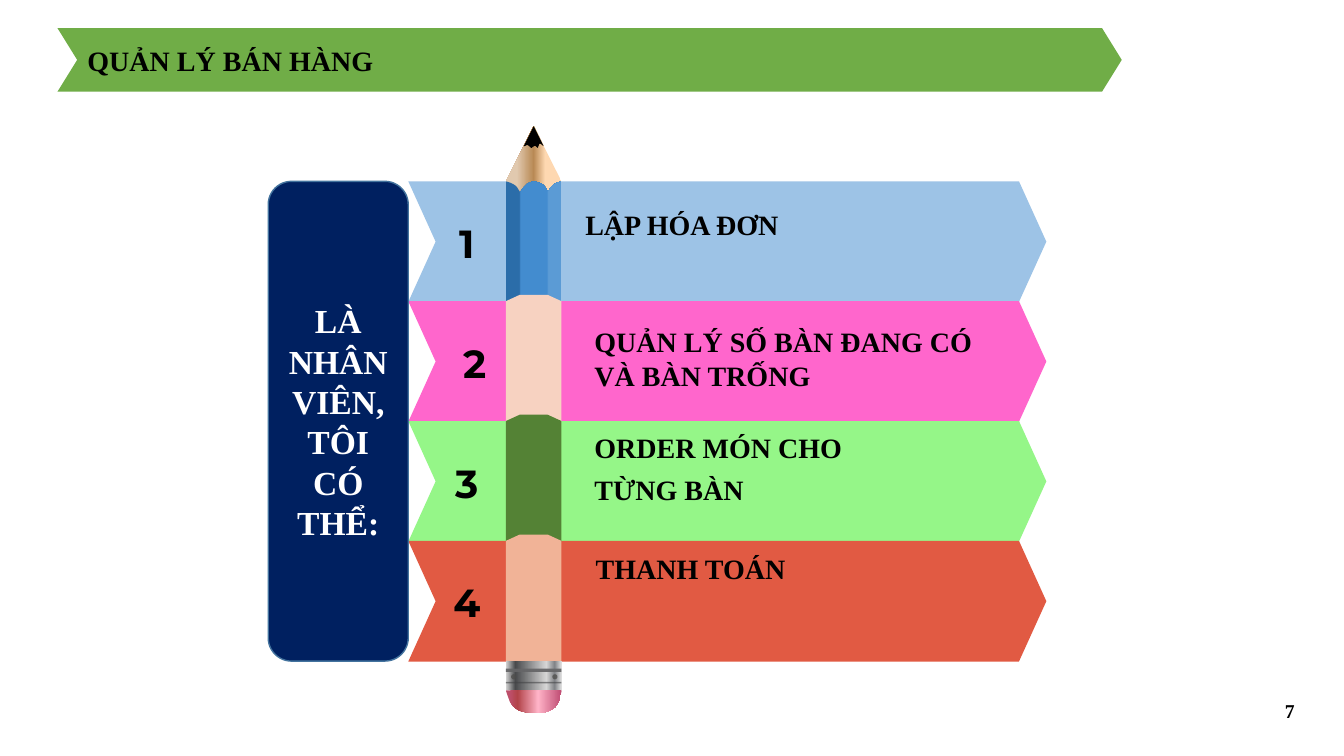
import pptx
import pptx.util
import pptx.dml.color
import pptx.enum.shapes
import pptx.enum.text
import pptx.oxml.ns
import lxml.etree

Cm = pptx.util.Cm
Pt = pptx.util.Pt
qn = pptx.oxml.ns.qn
KIND = pptx.enum.shapes.MSO_SHAPE
ALIGN = pptx.enum.text.PP_ALIGN
ANCHOR = pptx.enum.text.MSO_ANCHOR
SERIF = "Times New Roman"

BAND_X, BAND_TOP, PITCH, BAND_H = 10.29, 4.57, 3.02, 3.04
BAND_END, POINT = 26.37, 0.69
LEFT, RIGHT, BEVEL = 12.75, 14.15, 0.35
MID = (LEFT + RIGHT) / 2
BOTTOM = 16.66

# band colour, pencil colour, number left, label, label box
STEPS = [
    ("9DC3E6", None, 11.18, "LẬP HÓA ĐƠN", (14.5, 5.11, 11.02, 1.11)),
    ("FF66CC", "F7D2C1", 11.38, "QUẢN LÝ SỐ BÀN ĐANG CÓ VÀ BÀN TRỐNG",
     (14.73, 8.05, 10.26, 1.96)),
    ("95F688", "548235", 11.18, "ORDER MÓN CHO\nTỪNG BÀN",
     (14.73, 10.72, 10.64, 2.18)),
    ("E15A43", "F1B397", 11.18, "THANH TOÁN", (14.76, 13.77, 10.77, 1.11)),
]
WOOD = [(29, "FED8B1"), (50, "B88954"), (80, "E1C9AF")]
BLUE = [(0, "2B6DA9"), (24, "2B6DA9"), (27, "438CCF"), (74, "438CCF"),
        (77, "5B9BD5"), (100, "5B9BD5")]
METAL = [(0, "D6D6D6"), (17, "494A4C"), (73, "D6D6D6"), (88, "808286"),
         (100, "DEDEDE")]
RUBBER = [(7, "BD4F6A"), (21, "B24349"), (58, "FFB3C7"), (100, "BF4C73")]


def color(code):
    """Turn a hex string into a colour."""
    return pptx.dml.color.RGBColor.from_string(code)


def fade(shape, alpha):
    """Set the opacity, in percent, of the colours of a shape."""
    for tag in shape._element.spPr.iter(qn("a:srgbClr")):
        lxml.etree.SubElement(tag, qn("a:alpha"), val=str(alpha * 1000))


def paint(shape, fill, angle=0):
    """Fill a shape with one colour or a list of gradient stops."""
    shape.shadow.inherit = False
    shape.line.fill.background()
    if isinstance(fill, str):
        shape.fill.solid()
        shape.fill.fore_color.rgb = color(fill)
        return
    shape.fill.gradient()
    shape.fill.gradient_angle = angle
    stops = next(shape._element.spPr.iter(qn("a:gsLst")))
    for old in list(stops):
        stops.remove(old)
    for place, code in fill:
        stop = lxml.etree.SubElement(stops, qn("a:gs"), pos=str(place * 1000))
        lxml.etree.SubElement(stop, qn("a:srgbClr"), val=code)


def block(slide, kind, box, fill):
    """Add a filled preset shape."""
    shape = slide.shapes.add_shape(kind, *map(Cm, box))
    paint(shape, fill)
    return shape


def trace(steps):
    """Flatten points and cubic curves (six numbers) into points."""
    points = []
    for step in steps:
        if len(step) == 2:
            points.append(step)
            continue
        curve = [points[-1], step[:2], step[2:4], step[4:]]
        for part in range(1, 9):
            t = part / 8
            mix = [(1 - t) ** 3, 3 * t * (1 - t) ** 2, 3 * t * t * (1 - t), t ** 3]
            points.append(tuple(sum(m * p[axis] for m, p in zip(mix, curve))
                                for axis in (0, 1)))
    return points


def outline(slide, steps, fill, angle=0):
    """Add a filled closed outline."""
    points = [(Cm(x), Cm(y)) for x, y in trace(steps)]
    form = slide.shapes.build_freeform(*points[0])
    form.add_line_segments(points[1:], close=True)
    paint(form.convert_to_shape(), fill, angle)


def stripe(slide, y, code, width, alpha):
    """Add a line across the metal ring."""
    line = slide.shapes.add_connector(
        pptx.enum.shapes.MSO_CONNECTOR.STRAIGHT, Cm(LEFT), Cm(y), Cm(RIGHT), Cm(y))
    line.line.color.rgb = color(code)
    line.line.width = Pt(width)
    fade(line, alpha)
    lxml.etree.SubElement(line._element.spPr, qn("a:effectLst"))


def write(shape, text, size, font=SERIF, code="000000", align=ALIGN.LEFT,
          anchor=ANCHOR.TOP, after=0, wrap=True):
    """Put bold text in a shape."""
    frame = shape.text_frame
    frame.auto_size = pptx.enum.text.MSO_AUTO_SIZE.NONE
    frame.word_wrap = wrap
    frame.vertical_anchor = anchor
    frame.text = text
    for para in frame.paragraphs:
        para.alignment = align
        para.space_after = Pt(after)
        para.font.name = font
        para.font.size = Pt(size)
        para.font.bold = True
        para.font.color.rgb = color(code)


def label(slide, box, text, size, **style):
    """Add a text box."""
    write(slide.shapes.add_textbox(*map(Cm, box)), text, size, **style)


def header(slide):
    """Add the green banner and the title on it."""
    banner = block(slide, KIND.CHEVRON, (1.45, 0.71, 26.82, 1.6), "70AD47")
    banner.adjustments[0] = 0.31
    title = slide.shapes.title
    title.left, title.top, title.width, title.height = map(
        Cm, (1.95, 0.71, 25.5, 1.6))
    # The title lies above the banner
    slide.shapes._spTree.append(title._element)
    write(title, "QUẢN LÝ BÁN HÀNG", 20, anchor=ANCHOR.MIDDLE)


def band(slide, top, code):
    """Add one arrow-shaped band."""
    half, base, neck = top + BAND_H / 2, top + BAND_H, BAND_END - POINT
    outline(slide, [(BAND_X, top), (neck, top), (BAND_END, half), (neck, base),
                    (BAND_X, base), (BAND_X + POINT, half)], code)


def pencil(slide):
    """Add the pencil from tip to eraser."""
    outline(slide, [(12.9, 4.95), (LEFT, BAND_TOP), (MID, 3.18),
                    (RIGHT, BAND_TOP), (13.92, 4.95)], WOOD, 180)
    outline(slide, [(13.31, 3.66), (13.28, 3.63, 13.18, 3.73, 13.21, 3.66),
                    (MID, 3.18), (13.69, 3.66),
                    (13.72, 3.73, 13.61, 3.58, 13.59, 3.63), (13.56, 3.71),
                    (13.56, 3.76, 13.51, 3.68, 13.49, 3.68),
                    (13.46, 3.66, 13.41, 3.73, 13.39, 3.73)], "000000")
    base = BAND_TOP + BAND_H
    outline(slide, [(LEFT, BAND_TOP), (13.06, 4.65, 13.06, 4.78, 13.1, 4.85),
                    (13.23, 4.7, 13.23, 4.62, MID, BAND_TOP),
                    (13.74, 4.62, 13.74, 4.72, 13.81, 4.83),
                    (13.94, 4.62, 14, 4.62, RIGHT, BAND_TOP),
                    (RIGHT, base), (LEFT, base)], BLUE)
    for row, (_, code, *_) in enumerate(STEPS):
        if code:
            top = BAND_TOP + row * PITCH
            base = min(top + BAND_H, BOTTOM)
            outline(slide, [(LEFT, top), (LEFT + BEVEL, top - 0.16),
                            (RIGHT - BEVEL, top - 0.16), (RIGHT, top),
                            (RIGHT, base), (LEFT, base)], code)
    block(slide, KIND.RECTANGLE, (LEFT, BOTTOM, RIGHT - LEFT, 0.74), METAL)
    stripe(slide, 17.2, "414244", 1, 59)
    stripe(slide, 16.89, "656567", 2.25, 92)
    for x in (12.88, 13.92):
        fade(block(slide, KIND.OVAL, (x, 16.99, 0.13, 0.13), "4E4D4B"), 76)
    outline(slide, [(LEFT, 17.4), (RIGHT, 17.4), (14.12, 17.58),
                    (14, 17.98, 13.69, 17.96, MID, 17.96),
                    (13.21, 17.96, 12.9, 17.93, 12.8, 17.55)], RUBBER)


def main():
    """Build the slide and save it."""
    deck = pptx.Presentation()
    deck.slide_width, deck.slide_height = Cm(33.87), Cm(19.05)
    slide = deck.slides.add_slide(deck.slide_layouts[5])
    header(slide)
    for row, step in enumerate(STEPS):
        band(slide, BAND_TOP + row * PITCH, step[0])
    pencil(slide)
    for row, (_, _, x, text, box) in enumerate(STEPS):
        label(slide, (x, BAND_TOP + row * PITCH + 0.82, 1.17, 1.45),
              str(row + 1), 28, font="Montserrat", align=ALIGN.CENTER,
              anchor=ANCHOR.MIDDLE, wrap=False)
        label(slide, box, text, 20, after=6)
    role = block(slide, KIND.ROUNDED_RECTANGLE, (6.76, 4.57, 3.53, 12.09), "002060")
    role.line.color.rgb = color("43739E")
    role.line.width = Pt(1)
    write(role, "", 24)
    write(role, "LÀ NHÂN\vVIÊN, TÔI CÓ THỂ:", 24, code="FFFFFF",
          align=ALIGN.CENTER, anchor=ANCHOR.MIDDLE)
    label(slide, (32.13, 17.48, 0.76, 0.86), "7", 14)
    deck.save("out.pptx")


main()
